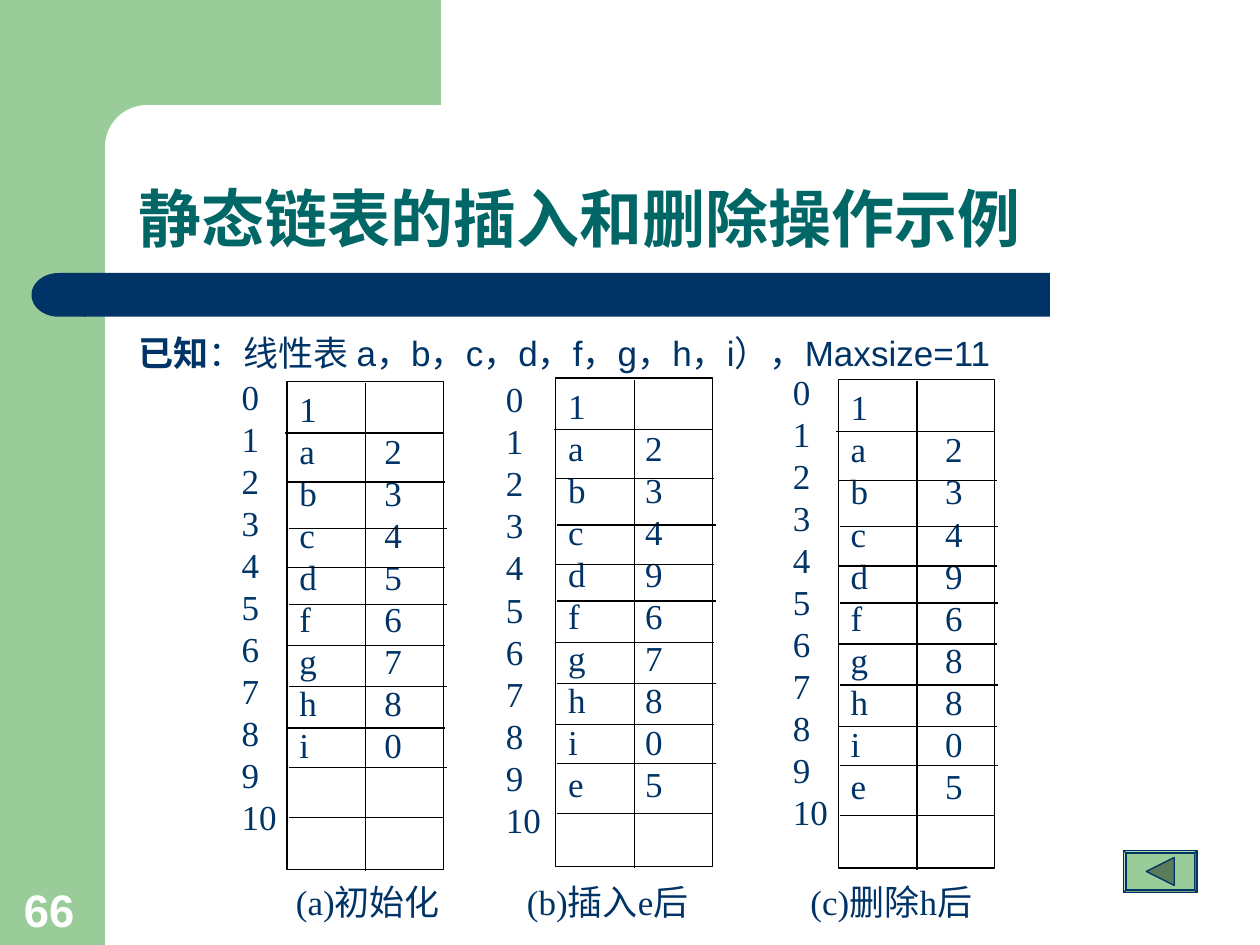
from lxml import etree
from pptx import Presentation
from pptx.dml.color import RGBColor
from pptx.enum.shapes import MSO_CONNECTOR as Link, MSO_SHAPE as Kind
from pptx.enum.text import MSO_ANCHOR as Anchor, MSO_AUTO_SIZE as Fit, PP_ALIGN as Align
from pptx.oxml.ns import qn
from pptx.util import Pt

GREEN = RGBColor(0x99, 0xCC, 0x99)
MOSS = RGBColor(0x5C, 0x7A, 0x5C)
NAVY = RGBColor(0x00, 0x33, 0x66)
TEAL = RGBColor(0x00, 0x66, 0x66)
WHITE = RGBColor(0xFF, 0xFF, 0xFF)
BLACK = RGBColor(0x00, 0x00, 0x00)
SANS, SERIF, HAN = "Arial", "Times New Roman", "Noto Sans CJK SC"

deck = Presentation()
deck.slide_width, deck.slide_height = Pt(720), Pt(540)
slide = deck.slides.add_slide(deck.slide_layouts[5])
shapes = slide.shapes


def paint(shape, fill, line=None):
    shape.shadow.inherit = False
    shape.fill.solid()
    shape.fill.fore_color.rgb = fill
    if line is None:
        shape.line.fill.background()
    else:
        shape.line.color.rgb = line
        shape.line.width = Pt(0.75)


def write(shape, lines, font=SERIF, size=20, color=NAVY, bold=False,
          align=Align.JUSTIFY, anchor=Anchor.MIDDLE, tab=None):
    frame = shape.text_frame
    frame.word_wrap = True
    frame.auto_size = Fit.NONE
    frame.vertical_anchor = anchor
    frame.text = "\n".join(lines)
    for para in frame.paragraphs:
        para.alignment = align
        props = para._p.get_or_add_pPr()
        if tab:
            stops = etree.SubElement(props, qn("a:tabLst"))
            etree.SubElement(stops, qn("a:tab"), pos=str(Pt(tab)), algn="l")
        para.font.size = Pt(size)
        para.font.bold = bold
        para.font.color.rgb = color
        para.font.name = font
        etree.SubElement(props.find(qn("a:defRPr")), qn("a:ea"), typeface=HAN)


# Green frame with its rounded corner, and the navy bar
for kind, left, top, width, height, fill in [
    (Kind.RECTANGLE, 0, 0, 60, 540, GREEN),
    (Kind.RECTANGLE, 54, 0, 198, 84, GREEN),
    (Kind.ROUNDED_RECTANGLE, 60, 60, 402, 48, WHITE),
    (Kind.RECTANGLE, 48, 156, 552, 25, NAVY),
    (Kind.FLOWCHART_DELAY, 18, 156, 31, 25, NAVY),
]:
    part = shapes.add_shape(kind, Pt(left), Pt(top), Pt(width), Pt(height))
    paint(part, fill)
    if kind == Kind.ROUNDED_RECTANGLE:
        part.adjustments[0] = 0.5
    elif kind == Kind.FLOWCHART_DELAY:
        part.rotation = 180

# Title, in front of the frame
title = shapes.title
title.left, title.top, title.width, title.height = Pt(72), Pt(60), Pt(630), Pt(90)
write(title, ["静态链表的插入和删除操作示例"], HAN, 36, TEAL, True, Align.LEFT, Anchor.BOTTOM)
title.text_frame.paragraphs[0].line_spacing = 0.9
title.element.getparent().append(title.element)

# Page number
page = shapes.add_textbox(Pt(6.5), Pt(499.5), Pt(46), Pt(39))
write(page, ["66"], SANS, 26, WHITE, True, Align.LEFT, Anchor.BOTTOM)

# Given list
given = shapes.add_textbox(Pt(72), Pt(186), Pt(630), Pt(32))
write(given, ["已知"], SANS, align=Align.LEFT, anchor=Anchor.TOP)
para = given.text_frame.paragraphs[0]
para.runs[0].font.bold = True
para.add_run().text = "：线性表 a，b，c，d，f，g，h，i），Maxsize=11"

# Back button
button = shapes.add_shape(Kind.BEVEL, Pt(642), Pt(486), Pt(42), Pt(24))
button.adjustments[0] = 0.06
paint(button, GREEN, NAVY)
pen = shapes.build_freeform(Pt(655), Pt(498))
pen.add_line_segments([(Pt(671), Pt(490)), (Pt(671), Pt(506))])
paint(pen.convert_to_shape(), MOSS, NAVY)

# Static lists: left, top, tab, index top, caption left and width, caption, data, links
WIDE, HIGH = 89.5, 279
RULES = [29.5, 57.5, 84, 106.5, 127.5, 151, 174.5, 198, 220.5, 249]
LISTS = [
    (164, 218, 48.5, 234, 162, 106, "(a)初始化", "abcdfghi", "23456780"),
    (317.5, 216, 44, 235.5, 294, 114, "(b)插入e后", "abcdfghie", "234967805"),
    (479, 217, 54, 231, 456, 112, "(c)删除h后", "abcdfghie", "234968805"),
]
for left, top, tab, start, edge, span, label, data, links in LISTS:
    index = shapes.add_textbox(Pt(left - 33), Pt(start), Pt(38), Pt(225))
    if left == LISTS[1][0]:
        index.left = Pt(282)
    write(index, [str(row) for row in range(11)])

    box = shapes.add_shape(Kind.RECTANGLE, Pt(left), Pt(top), Pt(WIDE), Pt(HIGH))
    paint(box, WHITE, BLACK)
    cells = ["1"] + [f"{item}\t{link}" for item, link in zip(data, links)]
    write(box, cells, anchor=Anchor.TOP, tab=tab)

    # Row lines step in and out a little; the last one is the column line
    ends = [(-1, RULES[0], WIDE, RULES[0])]
    for row, y in enumerate(RULES[1:]):
        ends.append((row % 2, y, WIDE + 1 + row % 2, y))
    ends[-1] = (1, RULES[-1], WIDE, RULES[-1])
    ends.append((45, 1, 45, HIGH + 1))
    for x1, y1, x2, y2 in ends:
        rule = shapes.add_connector(Link.STRAIGHT, Pt(left + x1), Pt(top + y1),
                                    Pt(left + x2), Pt(top + y2))
        rule.line.color.rgb = BLACK
        rule.line.width = Pt(0.75)
        etree.SubElement(rule.element.spPr, qn("a:effectLst"))

    caption = shapes.add_textbox(Pt(edge), Pt(502.5), Pt(span), Pt(25))
    write(caption, [label])

deck.save("out.pptx")
